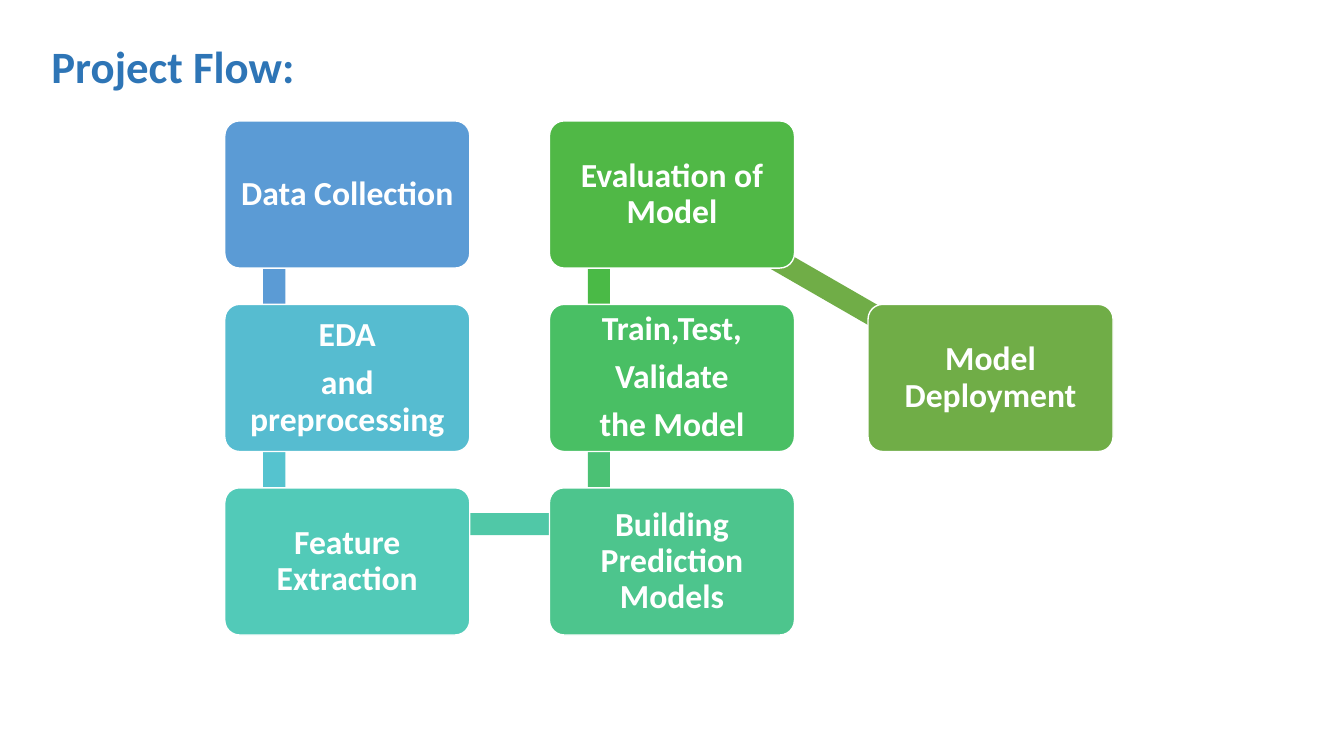
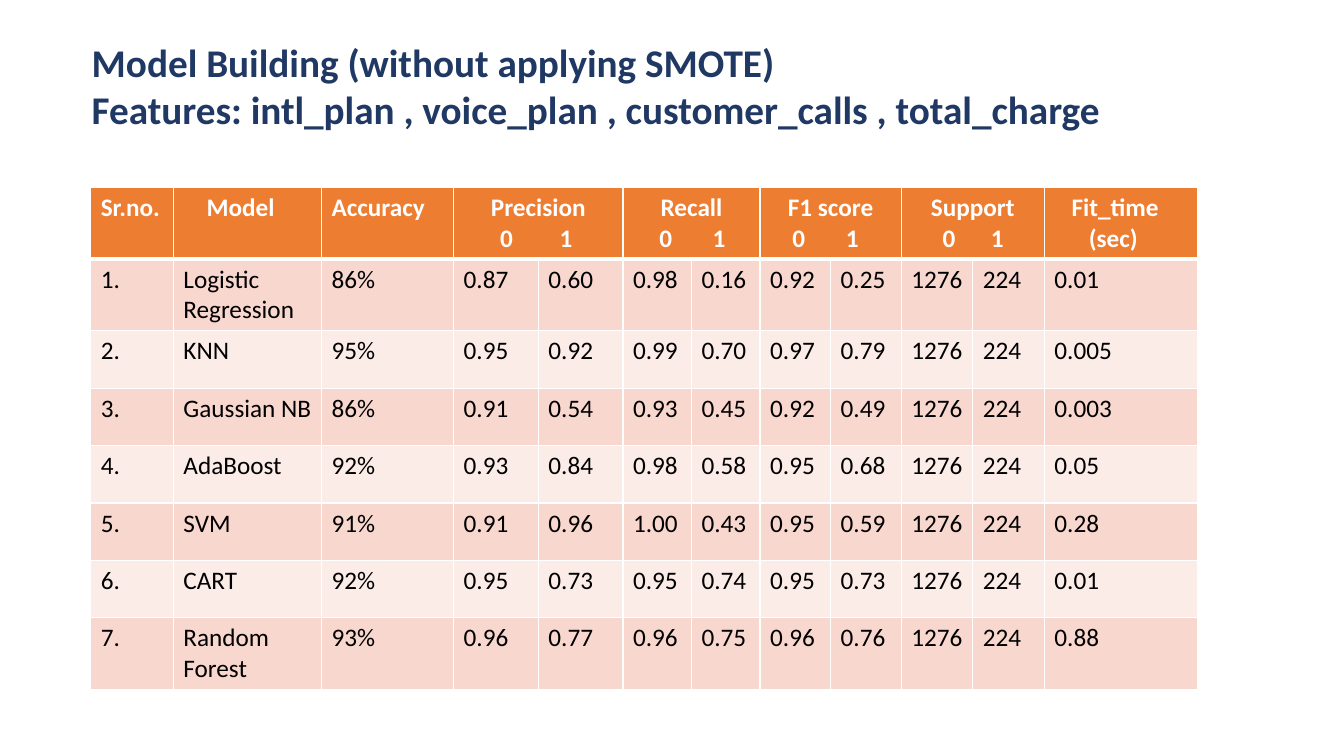
import dataclasses
import itertools
import math

import lxml.etree
import pptx
import pptx.dml.color
import pptx.enum.shapes
import pptx.enum.text
import pptx.oxml.ns
import pptx.util

Inches = pptx.util.Inches
Pt = pptx.util.Pt
ALIGN = pptx.enum.text.PP_ALIGN
ANCHOR = pptx.enum.text.MSO_ANCHOR
SHAPE = pptx.enum.shapes.MSO_SHAPE
qn = pptx.oxml.ns.qn


@dataclasses.dataclass(frozen=True)
class Theme:
    """Colours, font and type sizes of the presentation."""

    font: str = "Calibri"
    white: str = "FFFFFF"
    black: str = "000000"
    blue: str = "2E75B6"
    navy: str = "203864"
    header: str = "ED7D31"
    bands: tuple = ("F8D7CE", "FCECE8")
    steps: tuple = ("5B9BD5", "56BCD0", "52CAB8", "4DC58D", "49BF64", "50B846", "70AD47")
    links: tuple = ("5B9BD5", "55C3CF", "50C8A7", "4BC174", "4ABA46", "70AD47")
    title_size: int = 32
    long_title_size: int = 28
    step_size: int = 24
    table_size: int = 18


@dataclasses.dataclass(frozen=True)
class HeaderLine:
    """One line of a table heading, with its indent or tab stops in inches."""

    text: str
    indent: float = 0
    tabs: tuple = ()
    centred: bool = False


class Deck:
    """Holds the theme and the current slide, and draws each kind of element."""

    def __init__(self, theme):
        self.theme = theme
        self.presentation = pptx.Presentation()
        self.presentation.slide_width = Inches(13.33)
        self.presentation.slide_height = Inches(7.5)
        self.slide = None

    def colour(self, value):
        return pptx.dml.color.RGBColor.from_string(value)

    def paint(self, target, value):
        target.fill.solid()
        target.fill.fore_color.rgb = self.colour(value)

    def style(self, paragraph, size, colour, bold=True):
        font = paragraph.font
        font.name = self.theme.font
        font.size = Pt(size)
        font.bold = bold
        font.color.rgb = self.colour(colour)

    def add_slide(self, title, box, size, colour):
        self.slide = self.presentation.slides.add_slide(self.presentation.slide_layouts[5])
        shape = self.slide.shapes.title
        shape.left, shape.top, shape.width, shape.height = map(Inches, box)
        frame = shape.text_frame
        frame.text = title
        frame.word_wrap = True
        frame.auto_size = pptx.enum.text.MSO_AUTO_SIZE.NONE
        frame.vertical_anchor = ANCHOR.TOP
        for paragraph in frame.paragraphs:
            paragraph.alignment = ALIGN.LEFT
            self.style(paragraph, size, colour)

    def shape(self, kind, left, top, width, height, fill):
        shape = self.slide.shapes.add_shape(kind, *map(Inches, (left, top, width, height)))
        shape.shadow.inherit = False
        self.paint(shape, fill)
        shape.line.fill.background()
        return shape

    def link(self, start, end, thickness, fill):
        across, down = end[0] - start[0], end[1] - start[1]
        length = math.hypot(across, down)
        left = (start[0] + end[0] - length) / 2
        top = (start[1] + end[1] - thickness) / 2
        bar = self.shape(SHAPE.RECTANGLE, left, top, length, thickness, fill)
        bar.rotation = math.degrees(math.atan2(down, across))

    def step(self, text, left, top, width, height, fill):
        box = self.shape(SHAPE.ROUNDED_RECTANGLE, left, top, width, height, fill)
        box.adjustments[0] = 0.1
        box.line.color.rgb = self.colour(self.theme.white)
        box.line.width = Pt(1)
        frame = box.text_frame
        frame.text = text
        frame.word_wrap = True
        frame.vertical_anchor = ANCHOR.MIDDLE
        frame.margin_left = frame.margin_right = Inches(0.1)
        frame.margin_top = frame.margin_bottom = Inches(0.1)
        for paragraph in frame.paragraphs:
            paragraph.alignment = ALIGN.CENTER
            paragraph.line_spacing = 0.9
            paragraph.space_after = Pt(0.35 * self.theme.step_size)
            self.style(paragraph, self.theme.step_size, self.theme.white)

    def cell(self, cell, fill, top=1, bottom=1):
        properties = cell._tc.get_or_add_tcPr()
        for side, width in (("L", 1), ("R", 1), ("T", top), ("B", bottom)):
            line = lxml.etree.SubElement(properties, qn(f"a:ln{side}"), w=str(Pt(width)))
            solid = lxml.etree.SubElement(line, qn("a:solidFill"))
            lxml.etree.SubElement(solid, qn("a:srgbClr"), val=self.theme.white)
        self.paint(cell, fill)

    def heading(self, cell, lines):
        cell.text = "\n".join(line.text for line in lines)
        for paragraph, line in zip(cell.text_frame.paragraphs, lines):
            paragraph.alignment = ALIGN.CENTER if line.centred else ALIGN.LEFT
            properties = paragraph._p.get_or_add_pPr()
            if line.indent:
                properties.set("marL", str(Inches(line.indent)))
                properties.set("indent", "0")
            if line.tabs:
                stops = lxml.etree.SubElement(properties, qn("a:tabLst"))
                for position in line.tabs:
                    lxml.etree.SubElement(stops, qn("a:tab"), pos=str(Inches(position)), algn="l")
            self.style(paragraph, self.theme.table_size, self.theme.white)

    def table(self, left, top, widths, header_height, row_height, headings, rows):
        height = header_height + row_height * len(rows)
        frame = self.slide.shapes.add_table(
            len(rows) + 1, len(widths), *map(Inches, (left, top, sum(widths), height))
        )
        table = frame.table
        table.horz_banding = False
        for column, width in zip(table.columns, widths):
            column.width = Inches(width)
        for index, row in enumerate(table.rows):
            row.height = Inches(row_height if index else header_height)
        for column in range(len(widths)):
            self.cell(table.cell(0, column), self.theme.header, bottom=3)
        column = 0
        for span, lines in headings:
            cell = table.cell(0, column)
            if span > 1:
                cell.merge(table.cell(0, column + span - 1))
            self.heading(cell, lines)
            column += span
        for index, values in enumerate(rows, start=1):
            band = self.theme.bands[(index - 1) % 2]
            for column, value in enumerate(values):
                cell = table.cell(index, column)
                self.cell(cell, band, top=3 if index == 1 else 1)
                cell.text = value
                self.style(
                    cell.text_frame.paragraphs[0], self.theme.table_size, self.theme.black, False
                )


def project_flow(deck):
    theme = deck.theme
    deck.add_slide("Project Flow:", (0.41, 0.33, 3.22, 0.65), theme.title_size, theme.blue)
    columns = (2.23, 5.45, 8.61)
    rows = [1.2 + 1.82 * index for index in range(3)]
    steps = (
        ("Data Collection", 0, 0),
        ("EDA\nand preprocessing", 0, 1),
        ("Feature Extraction", 0, 2),
        ("Building Prediction Models", 1, 2),
        ("Train,Test,\nValidate\nthe Model", 1, 1),
        ("Evaluation of Model", 1, 0),
        ("Model Deployment", 2, 1),
    )
    joints = [(columns[column] + 0.49, rows[row] + 0.36) for _, column, row in steps]
    for (start, end), fill in zip(itertools.pairwise(joints), theme.links):
        deck.link(start, end, 0.22, fill)
    for (text, column, row), fill in zip(steps, theme.steps):
        deck.step(text, columns[column], rows[row], 2.43, 1.46, fill)


def model_building(deck):
    theme = deck.theme
    deck.add_slide(
        "Model Building (without applying SMOTE)\n"
        "Features: intl_plan , voice_plan , customer_calls , total_charge",
        (0.81, 0.33, 10.37, 1.04),
        theme.long_title_size,
        theme.navy,
    )
    pairs = (
        ("Precision", (0.36, 0.95)),
        ("Recall", (0.26, 0.79)),
        ("F1 score", (0.22, 0.75)),
        ("Support", (0.31, 0.79)),
    )
    headings = [
        (1, [HeaderLine("Sr.no.")]),
        (1, [HeaderLine("Model", indent=0.23)]),
        (1, [HeaderLine("Accuracy")]),
        *(
            (2, [HeaderLine(name, centred=True), HeaderLine("\t0\t1", tabs=tabs)])
            for name, tabs in pairs
        ),
        (1, [HeaderLine("Fit_time", indent=0.17), HeaderLine("(sec)", indent=0.34)]),
    ]
    results = (
        ("Logistic Regression", "86%", "0.87 0.60 0.98 0.16 0.92 0.25", "0.01"),
        ("KNN", "95%", "0.95 0.92 0.99 0.70 0.97 0.79", "0.005"),
        ("Gaussian NB", "86%", "0.91 0.54 0.93 0.45 0.92 0.49", "0.003"),
        ("AdaBoost", "92%", "0.93 0.84 0.98 0.58 0.95 0.68", "0.05"),
        ("SVM", "91%", "0.91 0.96 1.00 0.43 0.95 0.59", "0.28"),
        ("CART", "92%", "0.95 0.73 0.95 0.74 0.95 0.73", "0.01"),
        ("Random Forest", "93%", "0.96 0.77 0.96 0.75 0.96 0.76", "0.88"),
    )
    support = ("1276", "224")
    rows = [
        (f"{number}.", model, accuracy, *scores.split(), *support, fit_time)
        for number, (model, accuracy, scores, fit_time) in enumerate(results, start=1)
    ]
    widths = (0.82, 1.47, 1.31, 0.84, 0.84, 0.68, 0.68, 0.7, 0.7, 0.71, 0.71, 1.52)
    deck.table(0.9, 1.86, widths, 0.69, 0.57, headings, rows)


def main():
    deck = Deck(Theme())
    project_flow(deck)
    model_building(deck)
    deck.presentation.save("out.pptx")


if __name__ == "__main__":
    main()
